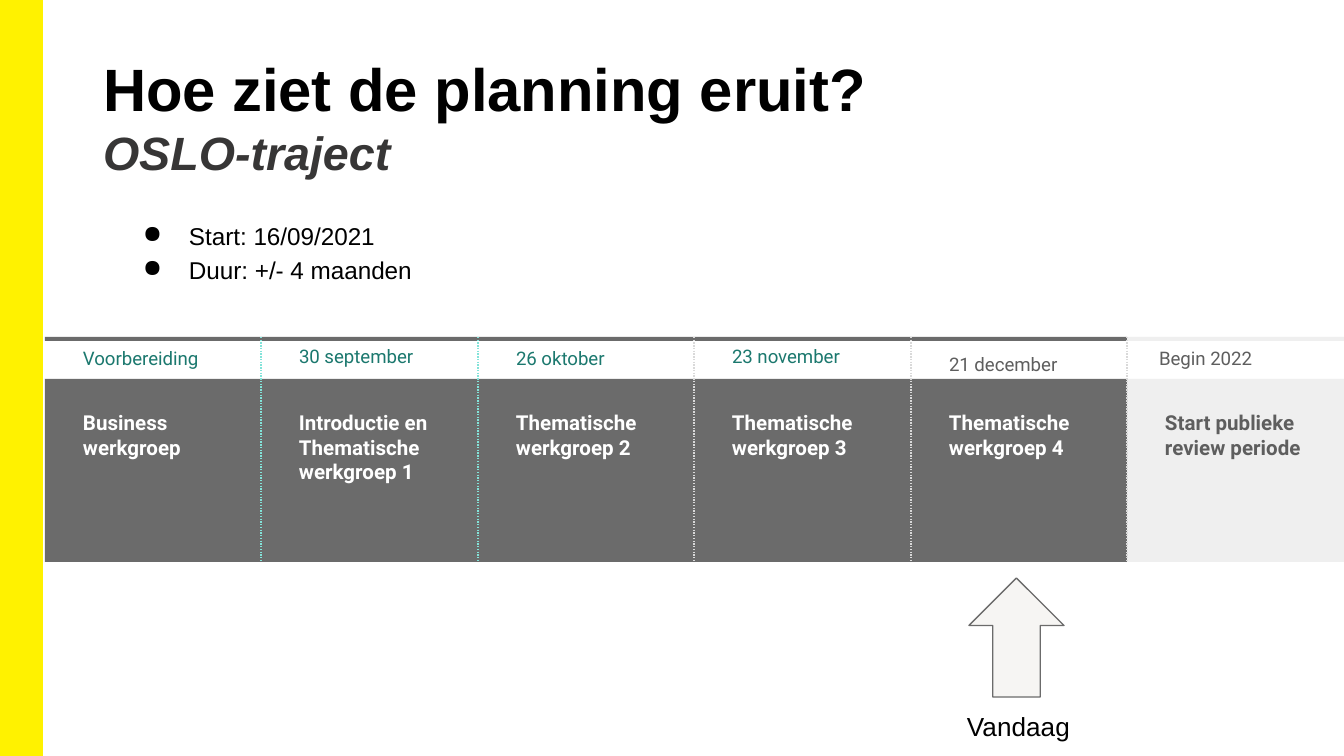
from lxml import etree
from pptx import Presentation
from pptx.dml.color import RGBColor
from pptx.enum.dml import MSO_LINE
from pptx.enum.shapes import MSO_CONNECTOR, MSO_SHAPE
from pptx.oxml.ns import qn
from pptx.util import Emu, Pt

RECTANGLE = MSO_SHAPE.RECTANGLE
UP_ARROW = MSO_SHAPE.UP_ARROW
STRAIGHT = MSO_CONNECTOR.STRAIGHT
DOTTED = MSO_LINE.ROUND_DOT

COLORS = {
    "yellow": "FFF200",
    "black": "000000",
    "subtitle": "373636",
    "dark": "6B6B6B",
    "pale": "EFEFEF",
    "arrow": "F6F5F3",
    "white": "FFFFFF",
    "muted": "5E5E5E",
    "green": "1B786E",
    "mint": "83E3D9",
    "dots": "D9D9D9",
}

BAND_TOP, CARD_TOP, BAND_BOTTOM = 337, 379, 562
PHASES = [
    ("Voorbereiding", "Business werkgroep", 167, 20, "green", "mint"),
    ("30 september", "Introductie en Thematische werkgroep 1", 159, 17, "green", "mint"),
    ("26 oktober", "Thematische werkgroep 2", 124, 20, "green", "dots"),
    ("23 november", "Thematische werkgroep 3", 155, 17, "green", "dots"),
    ("21 december", "Thematische werkgroep 4", 152, 27, "muted", "dots"),
]


def px(length):
    """Turn pixels into EMU."""
    return Emu(round(length * 914400 / 134.4))


def rgb(name):
    """Look up a named colour."""
    return RGBColor.from_string(COLORS[name])


def add_block(slide, box, fill, outline=None, width=1, kind=RECTANGLE):
    """Add a filled preset shape, optionally outlined."""
    block = slide.shapes.add_shape(kind, *map(px, box))
    block.shadow.inherit = False
    block.fill.solid()
    block.fill.fore_color.rgb = rgb(fill)
    if outline:
        block.line.color.rgb = rgb(outline)
        block.line.width = Pt(width)
    else:
        block.line.fill.background()


def add_text_frame(slide, box, insets=(13, 13)):
    """Add a wrapping text box with horizontal and vertical insets."""
    frame = slide.shapes.add_textbox(*map(px, box)).text_frame
    frame.word_wrap = True
    frame.margin_left = frame.margin_right = px(insets[0])
    frame.margin_top = frame.margin_bottom = px(insets[1])
    return frame


def write(paragraph, text, size, color, face="Arial", bold=False, italic=False):
    """Fill a paragraph and style it."""
    paragraph.text = text
    font = paragraph.font
    font.name, font.size = face, Pt(size)
    font.bold, font.italic = bold, italic
    font.color.rgb = rgb(color)


def add_bullet(paragraph):
    """Give a paragraph a hanging round bullet."""
    properties = paragraph._p.get_or_add_pPr()
    properties.set("marL", str(px(67)))
    properties.set("indent", str(px(-46)))
    bullet_color = etree.SubElement(properties, qn("a:buClr"))
    etree.SubElement(bullet_color, qn("a:srgbClr"), val=COLORS["black"])
    etree.SubElement(properties, qn("a:buChar"), char="●")


def add_heading(slide):
    """Add the title and its subtitle."""
    frame = add_text_frame(slide, (93, 40, 1158, 109), (10, 12))
    write(frame.paragraphs[0], "Hoe ziet de planning eruit?", 32, "black", bold=True)
    write(frame.add_paragraph(), "OSLO-traject", 25, "subtitle", bold=True, italic=True)


def add_facts(slide):
    """Add the bulleted start date and duration."""
    frame = add_text_frame(slide, (109, 204, 1099, 90))
    facts = ["Start: 16/09/2021", "Duur: +/- 4 maanden"]
    for index, fact in enumerate(facts):
        paragraph = frame.add_paragraph() if index else frame.paragraphs[0]
        add_bullet(paragraph)
        paragraph.line_spacing = 1.15
        write(paragraph, fact, 13, "black")


def column_left(index):
    """Give the left edge of a timeline column."""
    return 45 + index * 433 // 2


def add_phase(slide, left, right, fill):
    """Add the bar and card of one timeline column."""
    add_block(slide, (left, CARD_TOP, right - left, BAND_BOTTOM - CARD_TOP), fill)
    add_block(slide, (left, BAND_TOP, right - left, 4), fill)


def add_phase_text(slide, date_box, date, date_color, card_left, label, label_color):
    """Add the date and the label of one timeline column."""
    moment = add_text_frame(slide, date_box).paragraphs[0]
    moment.line_spacing = 1.15
    moment.space_after = Pt(16)
    write(moment, date, 10, date_color, "Roboto")
    activity = add_text_frame(slide, (card_left, 397, 167, 54)).paragraphs[0]
    write(activity, label, 11, label_color, "Roboto", bold=True)


def add_separator(slide, x, color):
    """Add a dotted vertical line between columns."""
    line = slide.shapes.add_connector(STRAIGHT, px(x), px(BAND_TOP), px(x), px(BAND_BOTTOM))
    line.line.color.rgb = rgb(color)
    line.line.width = Pt(0.75)
    line.line.dash_style = DOTTED
    etree.SubElement(line._element.spPr, qn("a:effectLst"))


def add_timeline(slide):
    """Add all phases, the closing review period and the separators."""
    review_left = column_left(len(PHASES))
    add_phase(slide, review_left, 1344, "pale")
    add_phase_text(slide, (review_left + 19, BAND_TOP, 192, 20), "Begin 2022", "muted",
                   review_left + 25, "Start publieke review periode", "muted")
    for index, (date, label, width, height, color, _) in enumerate(PHASES):
        left = column_left(index)
        add_phase(slide, left, column_left(index + 1), "dark")
        add_phase_text(slide, (left + 25, BAND_TOP, width, height), date, color,
                       left + 25, label, "white")
    for index, phase in enumerate(PHASES, 1):
        add_separator(slide, column_left(index), phase[-1])


def add_today(slide):
    """Add the arrow that marks the current phase."""
    add_block(slide, (969, 578, 95, 119), "arrow", "dark", 0.75, UP_ARROW)
    frame = add_text_frame(slide, (954, 697, 226, 59))
    write(frame.paragraphs[0], "Vandaag", 14, "black")


def main():
    """Build and save the planning slide."""
    deck = Presentation()
    deck.slide_width, deck.slide_height = px(1344), px(756)
    slide = deck.slides.add_slide(deck.slide_layouts[6])
    add_block(slide, (0, 0, 42, 756), "yellow", "yellow")
    add_heading(slide)
    add_facts(slide)
    add_timeline(slide)
    add_today(slide)
    deck.save("out.pptx")


if __name__ == "__main__":
    main()
